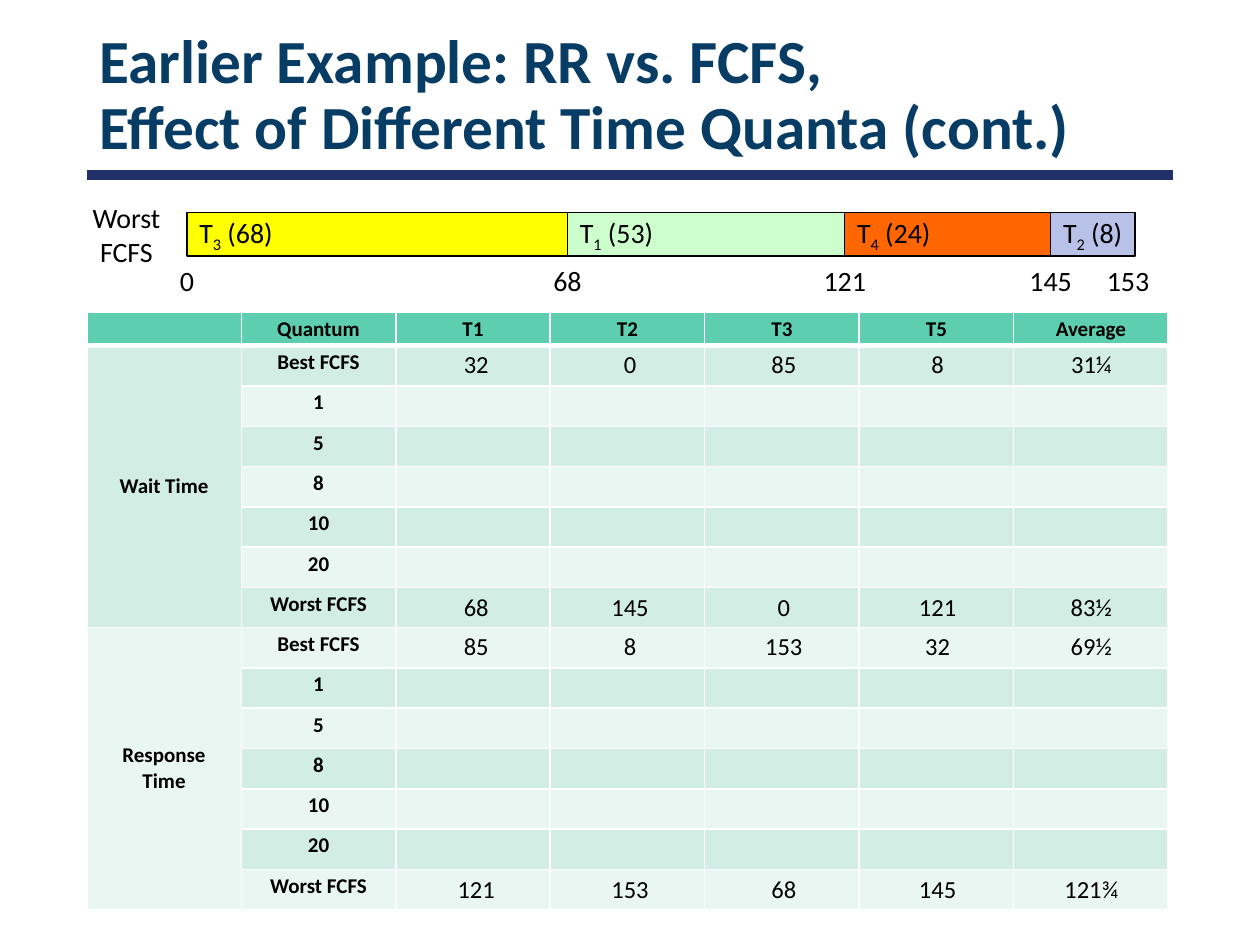
"""Builds the slide comparing scheduling times for RR and FCFS."""
from dataclasses import dataclass

from pptx import Presentation
from pptx import util as u
from pptx.dml.color import RGBColor
from pptx.enum import shapes, text
from pptx.oxml import parse_xml
from pptx.oxml.ns import nsdecls


@dataclass(frozen=True)
class Theme:
    font: str = "Calibri"
    title: str = "073C65"
    rule: str = "21306A"
    ink: str = "000000"
    grid: str = "FFFFFF"
    header: str = "5DCEAF"
    bands: tuple = ("EAF6F2", "D2EDE3")
    title_size: int = 35
    chart_size: int = 16
    label_size: int = 12
    value_size: int = 14


THEME = Theme()
LEFT = 1.75
TABLE_TOP, TABLE_WIDTH, TABLE_HEIGHT, HEADER_HEIGHT = 6.3, 21.8, 12.04, 0.66
VALUE_LEFT, VALUE_WIDTH, VALUE_HEIGHT = 8.05, 15.5, 0.79
BAR_LEFT, BAR_TOP, BAR_HEIGHT = 3.77, 4.29, 0.87
TIME_MIDDLE = 5.65

JOBS = [
    ("3", 68, 7.67, "FFFF00"),
    ("1", 53, 5.59, "CCFFCC"),
    ("4", 24, 4.15, "FF6600"),
    ("2", 8, 1.7, "B8C2E9"),
]
HEADINGS = ["", "Quantum", "T1", "T2", "T3", "T5", "Average"]
GROUPS = ["Wait Time", "Response Time"]
QUANTA = ["Best FCFS", "1", "5", "8", "10", "20", "Worst FCFS"]
VALUES = [
    (6.96, ["32", "0", "85", "8", "31¼"]),
    (11.86, ["68", "145", "0", "121", "83½"]),
    (12.65, ["85", "8", "153", "32", "69½"]),
    (17.55, ["121", "153", "68", "145", "121¾"]),
]


def rgb(value):
    """Return a colour object for a hex value."""
    return RGBColor.from_string(value)


def style(paragraph, size, color=THEME.ink, bold=False, align=text.PP_ALIGN.CENTER):
    """Set the font and alignment of a paragraph."""
    paragraph.alignment = align
    paragraph.font.name = THEME.font
    paragraph.font.size = u.Pt(size)
    paragraph.font.bold = bold
    paragraph.font.color.rgb = rgb(color)


def add_title(slide, content):
    """Fill and place the title placeholder."""
    title = slide.shapes.title
    title.left, title.top = u.Cm(LEFT), u.Cm(0.58)
    title.width, title.height = u.Cm(21.9), u.Cm(2.74)
    frame = title.text_frame
    frame.text = content
    frame.auto_size = text.MSO_AUTO_SIZE.NONE
    frame.vertical_anchor = text.MSO_ANCHOR.MIDDLE
    paragraph = frame.paragraphs[0]
    paragraph.line_spacing = 0.9
    style(paragraph, THEME.title_size, THEME.title, True, text.PP_ALIGN.LEFT)


def add_rule(slide):
    """Draw the thick rule under the title."""
    rule = slide.shapes.add_connector(
        shapes.MSO_CONNECTOR.STRAIGHT, u.Cm(LEFT), u.Cm(3.53), u.Cm(LEFT + 21.9), u.Cm(3.53))
    rule.line.color.rgb = rgb(THEME.rule)
    rule.line.width = u.Pt(6)
    rule._element.spPr.append(parse_xml(f"<a:effectLst {nsdecls('a')}/>"))


def add_label(slide, content, center, middle, width, height):
    """Add a centred text box around a point."""
    box = slide.shapes.add_textbox(
        u.Cm(center - width / 2), u.Cm(middle - height / 2), u.Cm(width), u.Cm(height))
    frame = box.text_frame
    frame.text = content
    frame.word_wrap = False
    frame.vertical_anchor = text.MSO_ANCHOR.MIDDLE
    style(frame.paragraphs[0], THEME.chart_size)


def add_job(slide, number, duration, left, width, color):
    """Draw one job of the schedule with its subscripted name."""
    bar = slide.shapes.add_shape(
        shapes.MSO_SHAPE.RECTANGLE, u.Cm(left), u.Cm(BAR_TOP), u.Cm(width), u.Cm(BAR_HEIGHT))
    bar.shadow.inherit = False
    bar.fill.solid()
    bar.fill.fore_color.rgb = rgb(color)
    bar.line.color.rgb = rgb(THEME.ink)
    bar.line.width = u.Pt(0.75)
    frame = bar.text_frame
    frame.word_wrap = False
    frame.vertical_anchor = text.MSO_ANCHOR.MIDDLE
    paragraph = frame.paragraphs[0]
    style(paragraph, THEME.chart_size, align=text.PP_ALIGN.LEFT)
    for content in ("T", number, f" ({duration})"):
        run = paragraph.add_run()
        run.text = content
        if content == number:
            run._r.get_or_add_rPr().set("baseline", "-25000")


def add_schedule(slide):
    """Draw the jobs in a row with their start and end times."""
    add_label(slide, "Worst\vFCFS", 2.55, 4.72, 1.96, 1.63)
    left, time = BAR_LEFT, 0
    add_label(slide, "0", left, TIME_MIDDLE, 0.8, 0.94)
    for number, duration, width, color in JOBS:
        add_job(slide, number, duration, left, width, color)
        left += width
        time += duration
        nudge = 0.14 if number == JOBS[-1][0] else 0
        add_label(slide, str(time), left - nudge, TIME_MIDDLE, 1.37, 0.94)


def set_borders(cell, widths):
    """Set left, right, top and bottom borders, where zero means none."""
    properties = cell._tc.get_or_add_tcPr()
    for side, width in zip("LRTB", widths):
        paint = f'<a:solidFill><a:srgbClr val="{THEME.grid}"/></a:solidFill>' if width else "<a:noFill/>"
        properties.append(parse_xml(
            f'<a:ln{side} {nsdecls("a")} w="{u.Pt(width)}">{paint}</a:ln{side}>'))


def format_cell(cell, content, size, bold, padding, borders, fill=None):
    """Write and format one table cell."""
    cell.text = content
    cell.margin_left = cell.margin_right = u.Cm(0.33)
    cell.margin_top = cell.margin_bottom = u.Cm(padding)
    style(cell.text_frame.paragraphs[0], size, bold=bold)
    set_borders(cell, borders)
    if fill:
        cell.fill.solid()
        cell.fill.fore_color.rgb = rgb(fill)
    else:
        cell.fill.background()


def add_table(slide, rows, columns, left, top, width, height):
    """Add a table of equal columns without style banding."""
    table = slide.shapes.add_table(
        rows, columns, u.Cm(left), u.Cm(top), u.Cm(width), u.Cm(height)).table
    table.first_row = table.horz_banding = False
    for column in table.columns:
        column.width = u.Cm(width / columns)
    return table


def add_time_grid(slide):
    """Add the banded grid of quanta grouped by kind of time."""
    rows = [HEADINGS]
    for group in GROUPS:
        for index, quantum in enumerate(QUANTA):
            rows.append([group if index == 0 else "", quantum] + [""] * 5)
    table = add_table(slide, len(rows), len(HEADINGS), LEFT, TABLE_TOP, TABLE_WIDTH, TABLE_HEIGHT)
    row_height = (TABLE_HEIGHT - HEADER_HEIGHT) / (len(rows) - 1)
    for index, row in enumerate(rows):
        table.rows[index].height = u.Cm(row_height if index else HEADER_HEIGHT)
        fill = THEME.bands[index % 2] if index else THEME.header
        borders = (1, 1, 3 if index == 1 else 1, 1 if index else 3)
        for column, content in enumerate(row):
            format_cell(table.cell(index, column), content, THEME.label_size, True, 0.08, borders, fill)
    for start in range(1, len(rows), len(QUANTA)):
        group_cell = table.cell(start, 0)
        group_cell.merge(table.cell(start + len(QUANTA) - 1, 0))
        group_cell.vertical_anchor = text.MSO_ANCHOR.MIDDLE


def add_value_row(slide, top, values):
    """Lay a clear single-row table of values over the grid."""
    table = add_table(slide, 1, len(values), VALUE_LEFT, top, VALUE_WIDTH, VALUE_HEIGHT)
    for column, value in enumerate(values):
        format_cell(table.cell(0, column), value, THEME.value_size, False, 0.1, (0, 0, 0, 0))


def main():
    """Build and save the slide."""
    presentation = Presentation()
    presentation.slide_width, presentation.slide_height = u.Cm(25.4), u.Cm(19.05)
    slide = presentation.slides.add_slide(presentation.slide_layouts[5])
    add_rule(slide)
    add_title(slide, "Earlier Example: RR vs. FCFS,\vEffect of Different Time Quanta (cont.)")
    add_schedule(slide)
    add_time_grid(slide)
    for top, values in VALUES:
        add_value_row(slide, top, values)
    presentation.save("out.pptx")


if __name__ == "__main__":
    main()
